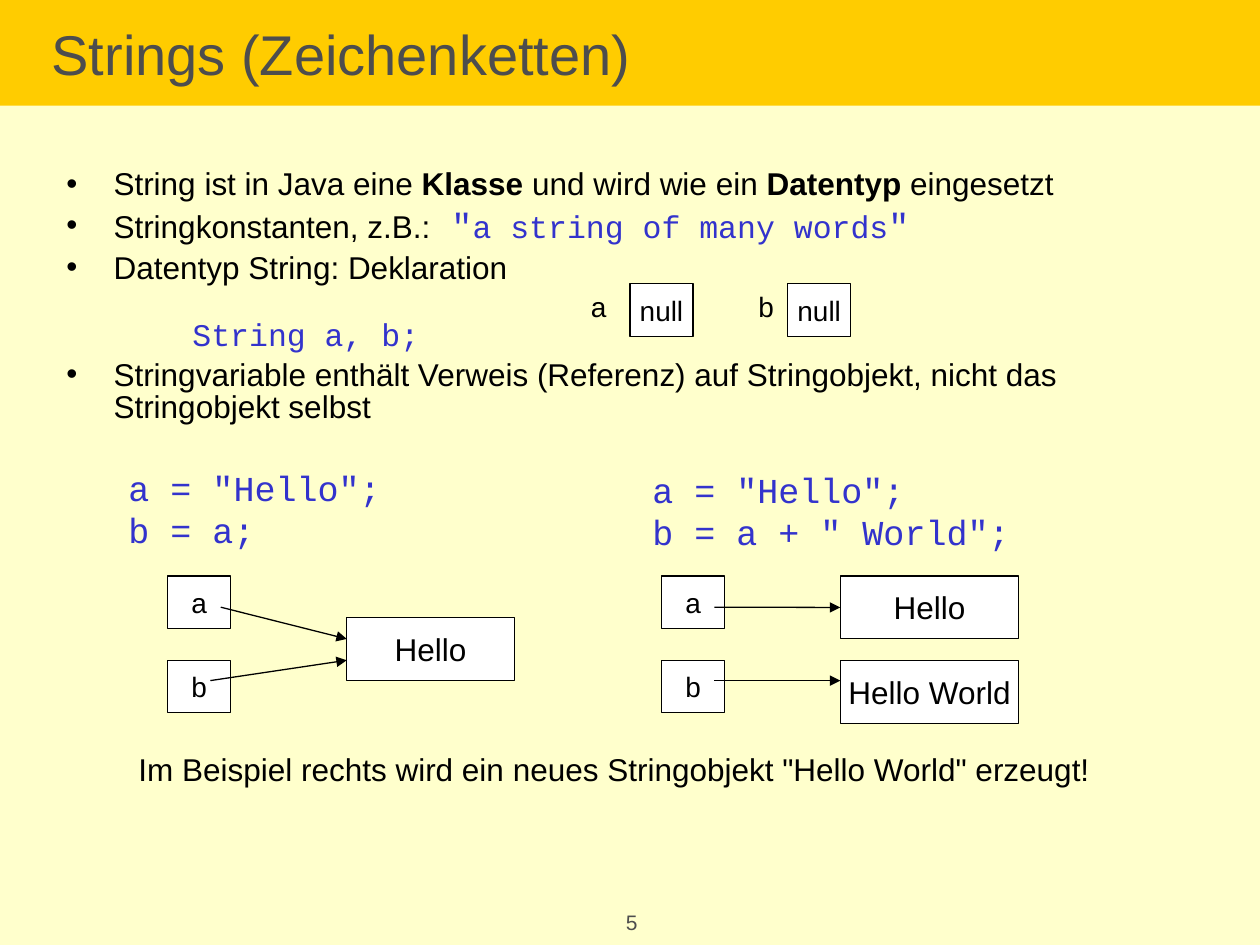
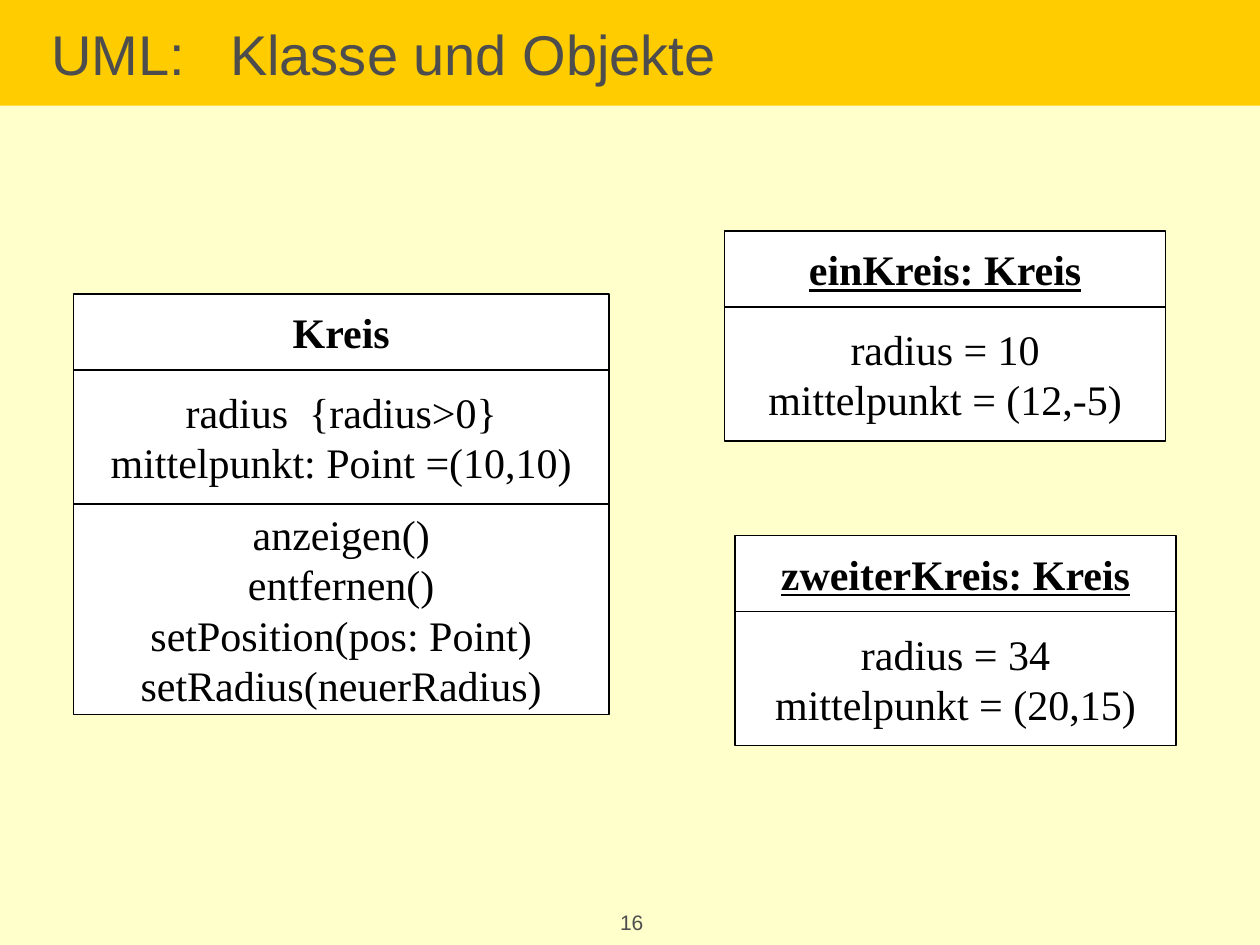
from lxml import etree
from pptx import Presentation
from pptx.dml.color import RGBColor
from pptx.enum import shapes, text
from pptx.oxml import ns
from pptx.util import Cm, Pt

CREAM = RGBColor(0xFF, 0xFF, 0xCC)
GOLD = RGBColor(0xFF, 0xCC, 0x00)
GRAY = RGBColor(0x4D, 0x4D, 0x4D)
BLUE = RGBColor(0x33, 0x33, 0xCC)
BLACK = RGBColor(0, 0, 0)
WHITE = RGBColor(0xFF, 0xFF, 0xFF)
SANS, MONO, SERIF = "Arial", "Courier New", "Times New Roman"
CENTER = text.PP_ALIGN.CENTER


class SlideBuilder:
    """Holds the lecture style and the slide being filled."""

    def __init__(self):
        self.deck = Presentation()
        self.deck.slide_width, self.deck.slide_height = Cm(25.4), Cm(19.05)
        background = self.deck.slide_master.background.fill
        background.solid()
        background.fore_color.rgb = CREAM
        self.page = None

    def start(self, title, number, tab=None):
        self.page = self.deck.slides.add_slide(self.deck.slide_layouts[6])
        band = self.rectangle(0, 0, 25.4, 2.13, [title], 32, color=GRAY,
                              fill=GOLD, line=None, align=None)
        band.text_frame.margin_left = Cm(1.04)
        if tab:
            self.tab_stop(band.text_frame.paragraphs[0], tab)
        self.label(11.16, 18.21, 3.15, 0.84, [str(number)], 12, color=GRAY, align=CENTER)

    def style(self, font, size, name=SANS, color=BLACK, bold=None, underline=None):
        font.size, font.name = Pt(size), name
        font.color.rgb = color
        font.bold, font.underline = bold, underline

    def set_lines(self, frame, lines, size, align=None, before=0, spacing=None, **look):
        for index, line in enumerate(lines):
            para = frame.add_paragraph() if index else frame.paragraphs[0]
            para.text = line
            para.alignment = align
            para.line_spacing = spacing
            para.space_before = Pt(0 if index else before)
            self.style(para.font, size, **look)

    def rectangle(self, left, top, width, height, lines, size,
                  fill=WHITE, line=BLACK, align=CENTER, **look):
        box = self.page.shapes.add_shape(shapes.MSO_SHAPE.RECTANGLE, Cm(left), Cm(top),
                                         Cm(width), Cm(height))
        box.shadow.inherit = False
        box.fill.solid()
        box.fill.fore_color.rgb = fill
        if line is None:
            box.line.fill.background()
        else:
            box.line.color.rgb = line
            box.line.width = Pt(0.75)
        box.text_frame.word_wrap = line is None
        box.text_frame.vertical_anchor = text.MSO_ANCHOR.MIDDLE
        self.set_lines(box.text_frame, lines, size, align, **look)
        return box

    def text_box(self, left, top, width, height):
        box = self.page.shapes.add_textbox(Cm(left), Cm(top), Cm(width), Cm(height))
        box.text_frame.word_wrap = True
        return box.text_frame

    def label(self, left, top, width, height, lines, size, **look):
        self.set_lines(self.text_box(left, top, width, height), lines, size, **look)

    def code(self, left, top, lines):
        self.label(left, top, 11.2, 1.96, lines, 20, name=MONO, color=BLUE,
                   before=5, spacing=Pt(24))

    def variable(self, left, top, value):
        return self.rectangle(left, top, 1.27, 1.06, [value], 16)

    def bullets(self, frame, items):
        for index, spans in enumerate(items):
            para = frame.add_paragraph() if index else frame.paragraphs[0]
            para.line_spacing = 0.85
            para.space_before = Pt(4.5)
            self.bullet(para)
            self.style(para.font, 18)
            for words, look in spans:
                span = para.add_run()
                span.text = words
                if look:
                    self.style(span.font, **{"size": 18, **look})

    def bullet(self, para):
        properties = para._p.get_or_add_pPr()
        properties.set("marL", str(Cm(0.95)))
        properties.set("indent", str(Cm(-0.95)))
        etree.SubElement(properties, ns.qn("a:buFont"), typeface=SANS)
        etree.SubElement(properties, ns.qn("a:buChar"), char="•")

    def tab_stop(self, para, position):
        stops = etree.Element(ns.qn("a:tabLst"))
        etree.SubElement(stops, ns.qn("a:tab"), pos=str(Cm(position)), algn="l")
        para._p.pPr.find(ns.qn("a:defRPr")).addprevious(stops)

    def arrow(self, start_x, start_y, end_x, end_y, target=None):
        arrow = self.page.shapes.add_connector(shapes.MSO_CONNECTOR.STRAIGHT, Cm(start_x),
                                               Cm(start_y), Cm(end_x), Cm(end_y))
        arrow.line.color.rgb = BLACK
        arrow.line.width = Pt(0.75)
        if target is not None:
            arrow.end_connect(target, 1)
        properties = arrow._element.spPr
        etree.SubElement(properties.get_or_add_ln(), ns.qn("a:tailEnd"), type="triangle")
        etree.SubElement(properties, ns.qn("a:effectLst"))

    def uml_box(self, left, top, width, name, attributes, methods=(), underline=None):
        sections = [(1.53, [name], {"bold": True, "underline": underline}),
                    (2.7, attributes, {}), (4.24, methods, {})]
        for height, lines, look in sections:
            if lines:
                self.rectangle(left, top, width, height, lines, 24, name=SERIF, **look)
            top += height


def build_strings(builder):
    builder.start("Strings (Zeichenketten)", 5)
    bold, code = {"bold": True}, {"name": MONO, "color": BLUE}
    quote = {**code, "size": 20}
    frame = builder.text_box(1.09, 3.3, 23.24, 5.9)
    builder.bullets(frame, [
        [("String ist in Java eine ", None), ("Klasse", bold),
         (" und wird wie ein ", None), ("Datentyp", bold), (" eingesetzt", None)],
        [("Stringkonstanten, z.B.:", None), (' "', quote),
         ("a string of many words", code), ('"', quote)],
        [("Datentyp String: Deklaration", None)],
        [("String a, b;", code)],
        [("Stringvariable enthält Verweis (Referenz) auf Stringobjekt, "
          "nicht das Stringobjekt selbst", None)],
    ])
    declaration = frame.paragraphs[3]
    declaration.space_before = Pt(20)
    properties = declaration._p.pPr
    properties.set("marL", str(Cm(2.54)))
    properties.set("indent", "0")
    properties.remove(properties.find(ns.qn("a:buFont")))
    properties.replace(properties.find(ns.qn("a:buChar")), etree.Element(ns.qn("a:buNone")))

    for name, label_left, box_left in (("a", 11.66, 12.7), ("b", 15.04, 15.88)):
        builder.label(label_left, 5.72, 0.81, 0.94, [name], 16)
        builder.variable(box_left, 5.72, "null")

    builder.code(2.34, 9.27, ['a = "Hello";', "b = a;"])
    builder.code(12.9, 9.32, ['a = "Hello";', 'b = a + " World";'])
    rows = {"a": 11.61, "b": 13.31}
    for left in (3.38, 13.34):
        for name, top in rows.items():
            builder.variable(left, top, name)
    builder.rectangle(6.99, 12.45, 3.38, 1.27, ["Hello"], 18)
    hello = builder.rectangle(16.94, rows["a"], 3.6, 1.27, ["Hello"], 18)
    builder.rectangle(16.94, rows["b"], 3.6, 1.27, ["Hello World"], 18)
    builder.arrow(4.45, 12.24, 6.99, 12.88)
    builder.arrow(4.24, 13.72, 6.99, 13.31)
    builder.arrow(14.4, 12.24, 16.94, 12.24, hello)
    builder.arrow(14.4, 13.72, 16.94, 13.72)
    builder.label(2.54, 14.99, 21.97, 1.93,
                  ['Im Beispiel rechts wird ein neues Stringobjekt "Hello World" erzeugt!'],
                  18, before=4.5)


def build_uml(builder):
    builder.start("UML:\tKlasse und Objekte", 16, tab=3.6)
    builder.uml_box(1.48, 5.93, 10.8, "Kreis",
                    ["radius  {radius>0}", "mittelpunkt: Point =(10,10)"],
                    ["anzeigen()", "entfernen()", "setPosition(pos: Point)",
                     "setRadius(neuerRadius)"])
    builder.uml_box(14.61, 4.66, 8.89, "einKreis: Kreis",
                    ["radius = 10", "mittelpunkt = (12,-5)"], underline=True)
    builder.uml_box(14.82, 10.8, 8.89, "zweiterKreis: Kreis",
                    ["radius = 34", "mittelpunkt = (20,15)"], underline=True)


def main():
    builder = SlideBuilder()
    build_strings(builder)
    build_uml(builder)
    builder.deck.save("out.pptx")


if __name__ == "__main__":
    main()
